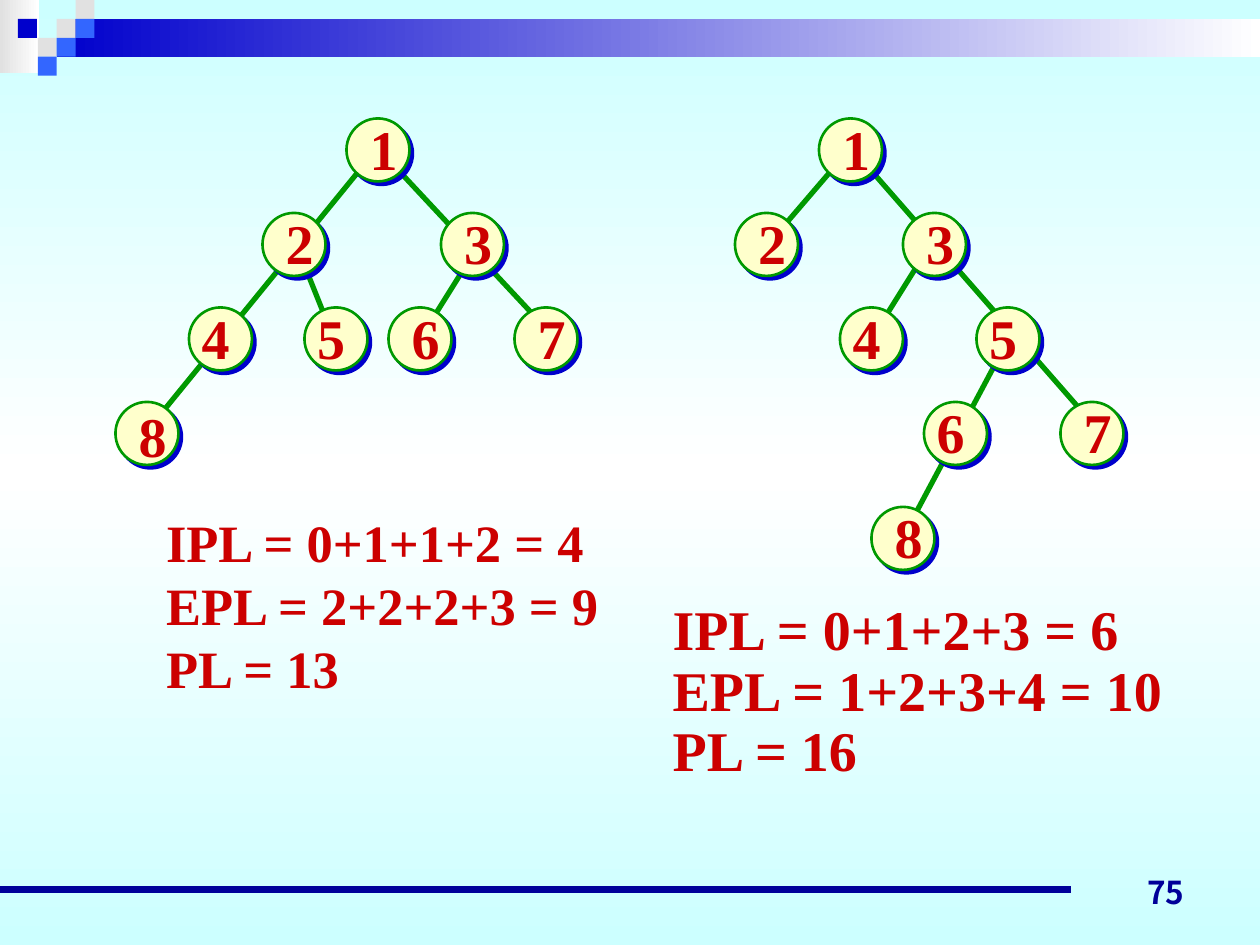
"""Build the slide comparing path lengths of two binary trees."""
from copy import deepcopy

from lxml import etree
from pptx import Presentation
from pptx.dml.color import RGBColor
from pptx.enum.shapes import MSO_CONNECTOR, MSO_SHAPE
from pptx.enum.text import MSO_ANCHOR, MSO_AUTO_SIZE, PP_ALIGN
from pptx.oxml.ns import qn
from pptx.util import Inches, Pt

RECT, OVAL, STRAIGHT = MSO_SHAPE.RECTANGLE, MSO_SHAPE.OVAL, MSO_CONNECTOR.STRAIGHT
MIDDLE, BOTTOM = MSO_ANCHOR.MIDDLE, MSO_ANCHOR.BOTTOM
LEFT, CENTER, RIGHT = PP_ALIGN.LEFT, PP_ALIGN.CENTER, PP_ALIGN.RIGHT
FIT_SHAPE = MSO_AUTO_SIZE.SHAPE_TO_FIT_TEXT

WHITE = RGBColor(0xFF, 0xFF, 0xFF)
AQUA = RGBColor(0xCC, 0xFF, 0xFF)
GRAY = RGBColor(0xE1, 0xE1, 0xE1)
BLUE = RGBColor(0x00, 0x00, 0xCC)
SKY = RGBColor(0x33, 0x66, 0xFF)
NAVY = RGBColor(0x00, 0x00, 0x99)
GREEN = RGBColor(0x00, 0x99, 0x00)
CREAM = RGBColor(0xFF, 0xFF, 0xCC)
RED = RGBColor(0xCC, 0x00, 0x00)
SERIF, SANS = "Times New Roman", "Noto Sans CJK JP"

WIDTH, HEIGHT = 10, 7.5
TILE = 0.15
TILES = [(3, 1, GRAY), (4, 0, GRAY), (4, 1, SKY), (2, 2, GRAY),
         (0.95, 1, BLUE), (3, 2, SKY), (2, 3, SKY)]

GRID, TREE_TOP = 1 / 12, 0.94
NODE, LABEL_WIDTH, LABEL_HEIGHT = 0.5, 0.59, 0.63
# fmt: off
TREES = [
    {"edges": [(45, 13, 40, 21), (29, 14, 31, 19), (38, 5, 52, 20), (35, 4, 13, 31)],
     "nodes": [("1", 33, 0, 0, -1), ("2", 25, 9, 0, -1), ("3", 42, 9, 0, -1),
               ("4", 18, 18, -1, -1), ("5", 29, 18, -1, -1), ("6", 37, 18, 0, -1),
               ("7", 49, 18, 0, -1), ("8", 11, 27, 0, -0.6)]},
    {"edges": [(88, 13, 83, 21), (95, 23, 87, 38), (83, 5, 104, 29), (80, 4, 74, 11)],
     "nodes": [("1", 78, 0, 0, -1), ("2", 70, 9, 0, -1), ("3", 86, 9, 0, -1),
               ("4", 80, 18, -1, -1), ("5", 93, 18, -1, -1), ("6", 88, 27, -1, -1),
               ("7", 101, 27, 0, -1), ("8", 83, 37, 0, -1)]},
]
SUMMARIES = [
    (["IPL = 0+1+1+2 = 4", "EPL = 2+2+2+3 = 9", "PL = 13"],
     (1.22, 4, 3.66, 1.6), 30, None),
    (["IPL = 0+1+2+3 = 6", "EPL = 1+2+3+4 = 10", "PL = 16"],
     (5.24, 4.73, 4.11, 1.54), 32, 0.9),
]


def inches(*lengths):
    return [Inches(length) for length in lengths]


def paint_gradient(fill, start, end):
    fill.gradient()
    fill.gradient_angle = 0
    for stop, color in zip(fill.gradient_stops, (start, end)):
        stop.color.rgb = color


def paint_background(slide):
    fill = slide.background.fill
    paint_gradient(fill, AQUA, WHITE)
    fill.gradient_angle = 90
    stops = slide.element.find(".//" + qn("a:gsLst"))
    stops.append(deepcopy(stops[0]))
    for stop, position in zip(fill.gradient_stops, (0, 0.5, 1)):
        stop.position = position


def add_block(shapes, box, color=None, kind=RECT):
    block = shapes.add_shape(kind, *inches(*box))
    block.shadow.inherit = False
    block.line.fill.background()
    if color is not None:
        block.fill.solid()
        block.fill.fore_color.rgb = color
    return block


def add_line(shapes, ends, color, weight):
    line = shapes.add_connector(STRAIGHT, *inches(*ends))
    line.line.color.rgb = color
    line.line.width = Pt(weight)
    etree.SubElement(line.element.spPr, qn("a:effectLst"))


def add_text(shapes, lines, box, size, color=RED, font=SERIF, align=LEFT,
             anchor=MIDDLE, wrap=True, spacing=None, fit=True):
    frame = shapes.add_textbox(*inches(*box)).text_frame
    frame.word_wrap = wrap
    frame.vertical_anchor = anchor
    if fit:
        frame.auto_size = FIT_SHAPE
    for index, line in enumerate(lines):
        paragraph = frame.add_paragraph() if index else frame.paragraphs[0]
        paragraph.alignment = align
        if spacing:
            paragraph.line_spacing = spacing
        run = paragraph.add_run()
        run.text = line
        run.font.name = font
        run.font.size = Pt(size)
        run.font.bold = True
        run.font.color.rgb = color


def add_node(shapes, left, top):
    node = add_block(shapes, (left, top, NODE, NODE), CREAM, OVAL)
    node.line.color.rgb = GREEN
    node.line.width = Pt(1.5)
    effects = node.element.spPr.find(qn("a:effectLst"))
    shadow = etree.SubElement(effects, qn("a:outerShdw"), dist=str(Pt(2.8)),
                              dir=str(45 * 60000), algn="ctr", rotWithShape="0")
    etree.SubElement(shadow, qn("a:srgbClr"), val=str(BLUE))


def add_header(slide):
    shapes = slide.shapes.add_group_shape().shapes
    corner = add_block(shapes, (0, 0, 0.31, 0.58))
    paint_gradient(corner.fill, GRAY, WHITE)
    band = add_block(shapes, (3 * TILE, TILE, WIDTH - 3 * TILE, 2 * TILE))
    paint_gradient(band.fill, BLUE, WHITE)
    for column, row, color in TILES:
        add_block(shapes, (column * TILE, row * TILE, TILE, TILE), color)


def add_tree(shapes, tree):
    for x1, y1, x2, y2 in tree["edges"]:
        add_line(shapes, (x1 * GRID, TREE_TOP + y1 * GRID,
                          x2 * GRID, TREE_TOP + y2 * GRID), GREEN, 3)
    for label, column, row, shift_x, shift_y in tree["nodes"]:
        left, top = column * GRID, TREE_TOP + row * GRID
        add_node(shapes, left, top)
        add_text(shapes, [label], (left + shift_x * GRID, top + shift_y * GRID,
                                   LABEL_WIDTH, LABEL_HEIGHT), 32, align=CENTER)


def main():
    deck = Presentation()
    deck.slide_width, deck.slide_height = inches(WIDTH, HEIGHT)
    slide = deck.slides.add_slide(deck.slide_layouts[6])
    paint_background(slide)
    add_header(slide)
    add_line(slide.shapes, (0, 7.06, 0.85 * WIDTH, 7.06), NAVY, 4.5)
    add_text(slide.shapes, ["75"], (7.17, 6.78, 2.33, 0.5), 18, NAVY, SANS,
             RIGHT, BOTTOM, fit=False)
    trees = slide.shapes.add_group_shape().shapes
    for tree in TREES:
        add_tree(trees, tree)
    for lines, box, size, spacing in SUMMARIES:
        add_text(slide.shapes, lines, box, size, wrap=False, spacing=spacing)
    deck.save("out.pptx")


if __name__ == "__main__":
    main()
